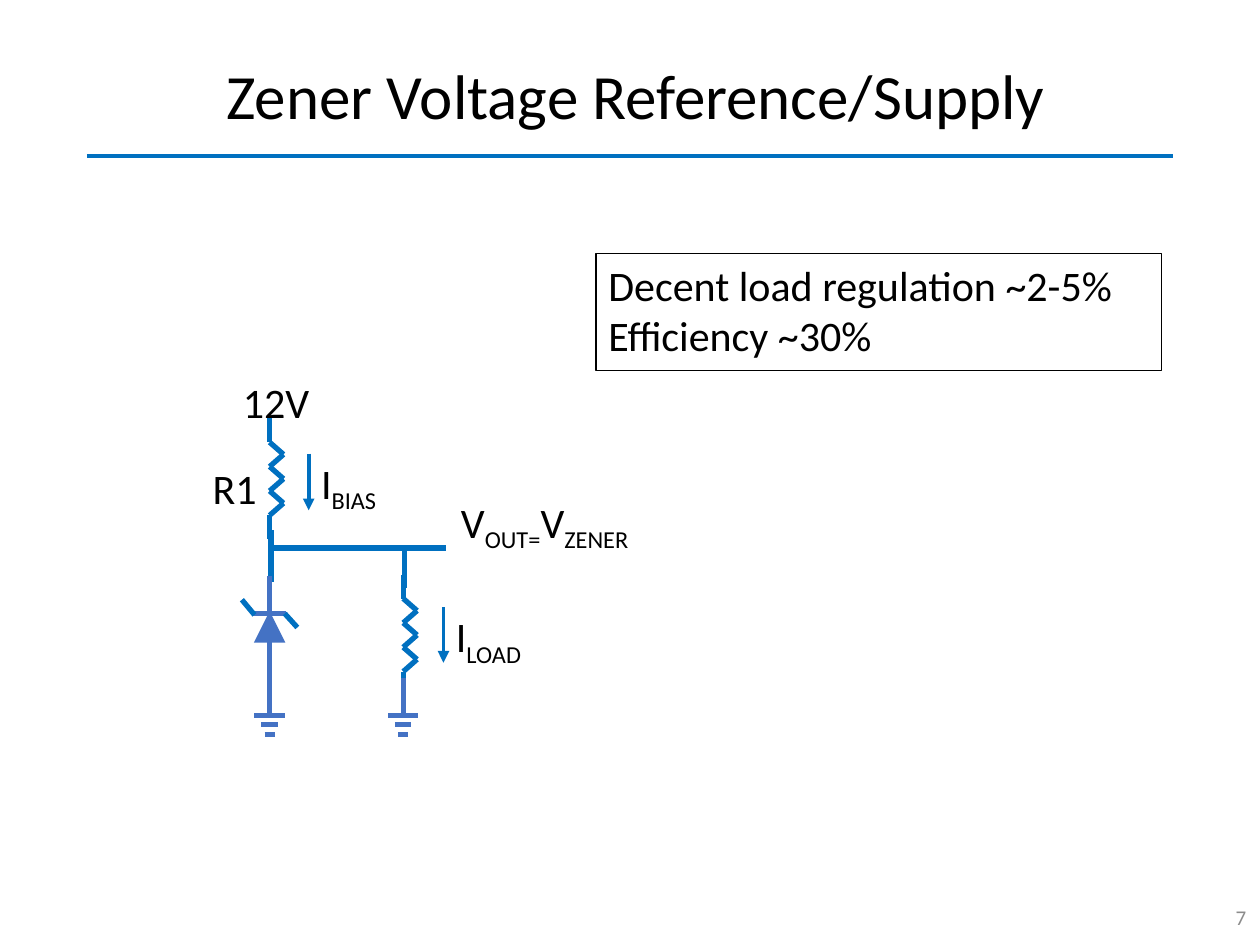
from itertools import pairwise
from pptx import Presentation
from pptx.dml.color import RGBColor
from pptx.enum.shapes import MSO_CONNECTOR, MSO_SHAPE
from pptx.enum.text import MSO_ANCHOR, PP_ALIGN
from pptx.oxml.ns import qn
from pptx.util import Inches, Pt
from lxml.etree import SubElement

BLUE, INDIGO, BLACK, GRAY = "0070C0", "4472C4", "000000", "8C8C8C"
FONT = "Calibri"
TITLE = "Zener Voltage Reference/Supply"
NOTES = ["Decent load regulation ~2-5%", "Efficiency ~30%"]
SUPPLY_X, LOAD_X = 2.14, 3.2
RESISTORS = [(SUPPLY_X, 3.32), (LOAD_X, 4.56)]
GROUNDS = [(SUPPLY_X, 5.38), (LOAD_X, 5.38)]
GROUND_BARS = [(0.3, 0.12), (0.37, 0.065), (0.45, 0.04)]
WIRES = [
    (2.13, 4.35, 3.54, 4.35),
    (2.15, 4.21, 2.15, 4.62),
    (3.21, 4.35, 3.21, 4.67),
]
ZENER_HOOKS = [(1.92, 4.76, 2.02, 4.88), (2.26, 4.87, 2.36, 4.98)]
CURRENT_ARROWS = [(2.45, 3.6, 2.45, 4.05), (3.52, 4.82, 3.52, 5.26)]
LABELS = [
    (1.83, 2.94, 0.84, [("12V", False)]),
    (1.59, 3.62, 0.63, [("R1", False)]),
    (2.45, 3.58, 0.84, [("I", False), ("BIAS", True)]),
    (3.52, 4.8, 0.84, [("I", False), ("LOAD", True)]),
    (3.56, 3.89, 1.79, [("V", False), ("OUT=", True), ("V", False), ("ZENER", True)]),
]


def color(value):
    return RGBColor.from_string(value)


def add_line(shapes, ends, line_color=BLUE, width=3, arrow=False):
    connector = shapes.add_connector(MSO_CONNECTOR.STRAIGHT, *map(Inches, ends))
    connector.line.color.rgb = color(line_color)
    connector.line.width = Pt(width)
    if arrow:
        SubElement(connector.line._get_or_add_ln(), qn("a:tailEnd"), type="triangle")
    SubElement(connector._element.spPr, qn("a:effectLst"))


def add_run(paragraph, text, size=24, text_color=BLACK, subscript=False):
    run = paragraph.add_run()
    run.text = text
    run.font.name = FONT
    run.font.size = Pt(size)
    run.font.color.rgb = color(text_color)
    if subscript:
        run._r.get_or_add_rPr().set("baseline", "-25000")


def add_resistor(slide, x, top):
    shapes = slide.shapes.add_group_shape().shapes
    first, last = top + 0.19, top + 0.77
    step = (last - first) / 6
    bends = [(x + 0.11 * (i % 2), first + i * step) for i in range(7)]
    for start, end in pairwise([(x, top), *bends, (x, last + 0.19)]):
        add_line(shapes, start + end)


def add_ground(slide, x, top):
    shapes = slide.shapes.add_group_shape().shapes
    add_line(shapes, (x, top, x, top + 0.29), INDIGO)
    for drop, half in GROUND_BARS:
        add_line(shapes, (x - half, top + drop, x + half, top + drop), INDIGO)


def add_zener(slide, x):
    shapes = slide.shapes.add_group_shape().shapes
    add_line(shapes, (x, 5.06, x, 4.85), INDIGO, 6, arrow=True)
    add_line(shapes, (x, 4.57, x, 5.4), INDIGO)
    add_line(shapes, (x - 0.13, 4.87, x + 0.13, 4.87), INDIGO)
    for ends in ZENER_HOOKS:
        add_line(slide.shapes, ends)


def add_label(slide, left, top, width, runs):
    box = slide.shapes.add_textbox(*map(Inches, (left, top, width, 0.5)))
    box.text_frame.word_wrap = True
    for text, subscript in runs:
        add_run(box.text_frame.paragraphs[0], text, subscript=subscript)


def add_title(slide):
    title = slide.shapes.title
    title.left, title.top, title.width, title.height = map(Inches, (0.51, 0.24, 9.07, 1.09))
    title.text_frame.vertical_anchor = MSO_ANCHOR.MIDDLE
    paragraph = title.text_frame.paragraphs[0]
    paragraph.alignment = PP_ALIGN.CENTER
    paragraph.line_spacing = 0.9
    add_run(paragraph, TITLE, 36)
    add_line(slide.shapes, (0.69, 1.24, 9.31, 1.24), width=2.25)


def add_notes_box(slide):
    box = slide.shapes.add_shape(MSO_SHAPE.RECTANGLE, *map(Inches, (4.73, 2.01, 4.49, 0.93)))
    box.shadow.inherit = False
    box.fill.background()
    box.line.color.rgb = color(BLACK)
    box.line.width = Pt(0.75)
    frame = box.text_frame
    frame.word_wrap = True
    frame.vertical_anchor = MSO_ANCHOR.TOP
    for i, text in enumerate(NOTES):
        paragraph = frame.add_paragraph() if i else frame.paragraphs[0]
        paragraph.alignment = PP_ALIGN.LEFT
        add_run(paragraph, text)


def add_page_number(slide):
    box = slide.shapes.add_textbox(*map(Inches, (7.74, 7.08, 2.25, 0.4)))
    box.text_frame.word_wrap = True
    box.text_frame.vertical_anchor = MSO_ANCHOR.MIDDLE
    paragraph = box.text_frame.paragraphs[0]
    paragraph.alignment = PP_ALIGN.RIGHT
    add_run(paragraph, "7", 12, GRAY)


def main():
    presentation = Presentation()
    presentation.slide_width, presentation.slide_height = Inches(10), Inches(7.5)
    slide = presentation.slides.add_slide(presentation.slide_layouts[5])
    add_title(slide)
    add_page_number(slide)
    for x, top in RESISTORS:
        add_resistor(slide, x, top)
    for x, top in GROUNDS:
        add_ground(slide, x, top)
    for ends in WIRES:
        add_line(slide.shapes, ends)
    for ends in CURRENT_ARROWS:
        add_line(slide.shapes, ends, width=2.25, arrow=True)
    add_zener(slide, SUPPLY_X)
    for label in LABELS:
        add_label(slide, *label)
    add_notes_box(slide)
    presentation.save("out.pptx")


if __name__ == "__main__":
    main()
